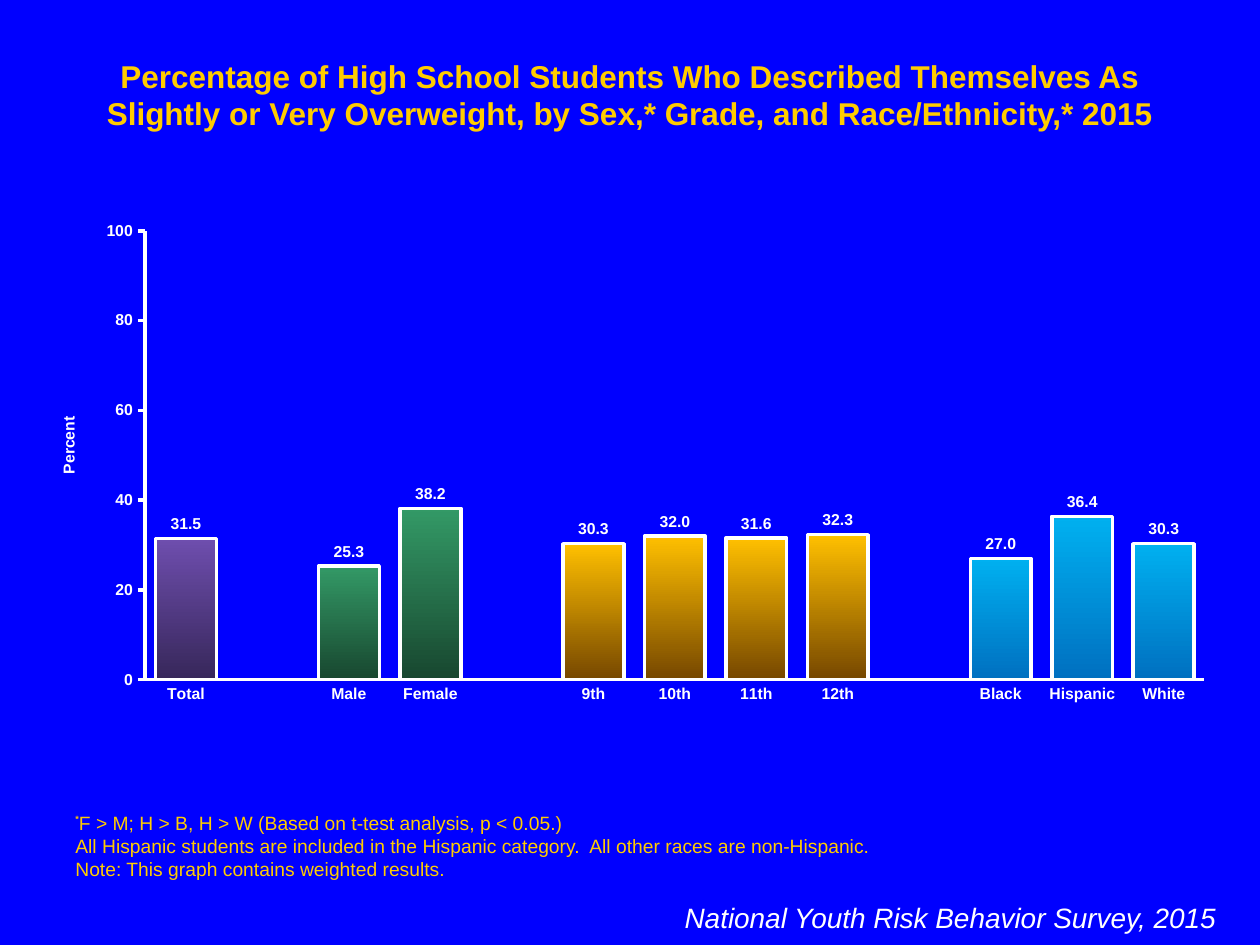
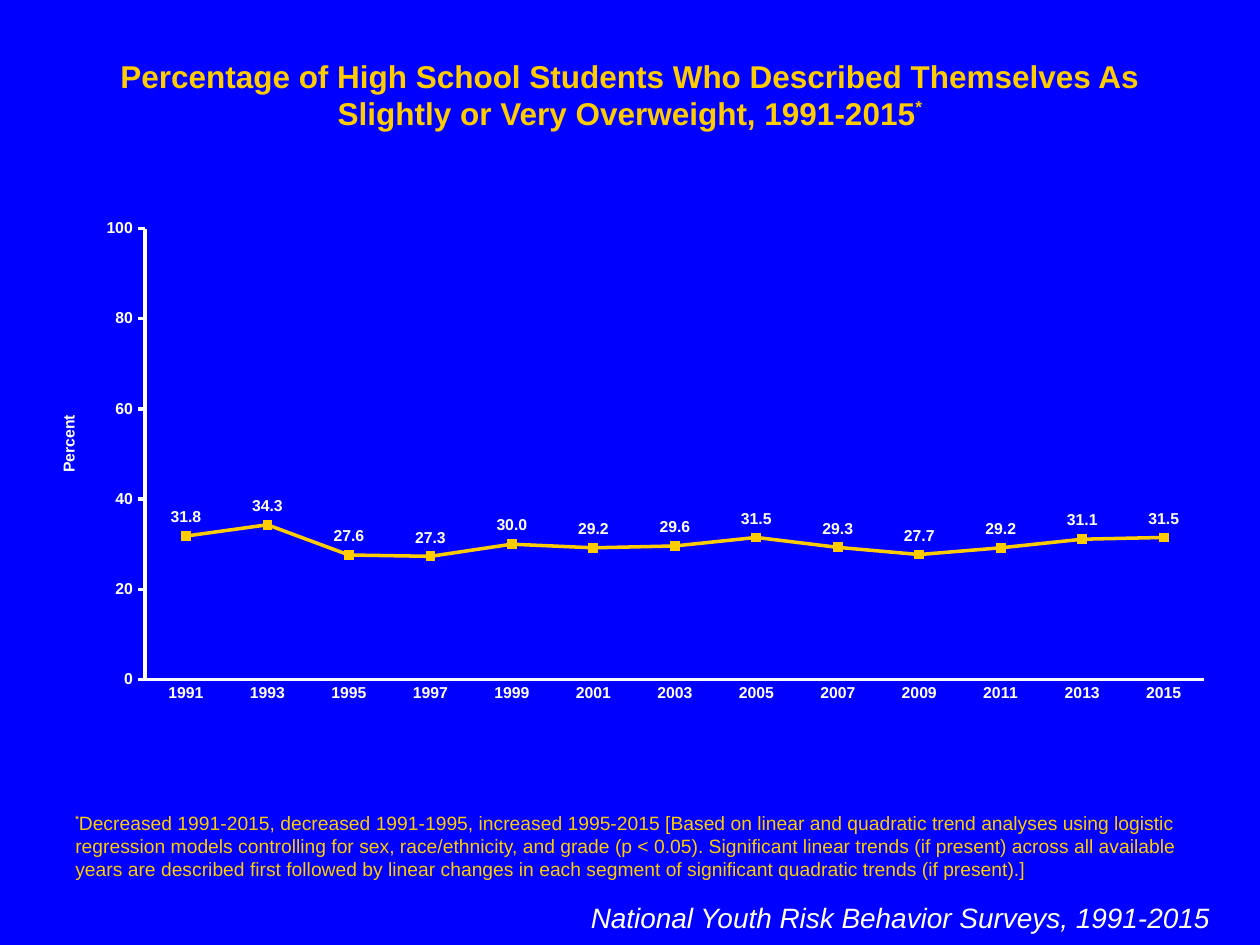
from dataclasses import dataclass

from pptx import Presentation
from pptx.chart.data import CategoryChartData
from pptx.dml.color import RGBColor
from pptx.enum.chart import XL_CHART_TYPE as Kind, XL_LABEL_POSITION as Spot
from pptx.enum.chart import XL_MARKER_STYLE as Mark, XL_TICK_MARK as Tick
from pptx.enum.text import MSO_ANCHOR as Anchor, PP_ALIGN as Align
from pptx.oxml import parse_xml
from pptx.oxml.ns import nsdecls, qn
from pptx.util import Inches, Pt

# Content
BARS = {
    "title": [("Percentage of High School Students Who Described Themselves As "
               "Slightly or Very Overweight, by Sex,* Grade, and Race/Ethnicity,* 2015", 0)],
    "notes": ["F > M; H > B, H > W (Based on t-test analysis, p < 0.05.)",
              "All Hispanic students are included in the Hispanic category.  "
              "All other races are non-Hispanic.",
              "Note: This graph contains weighted results."],
    "source": "National Youth Risk Behavior Survey, 2015",
    "right": 9.75,
    "top": 1.69,
}
GROUPS = [  # gradient colours, then bars; an empty slot parts the groups
    (("6E4EAE", "37275A"), [("Total", 31.5)]),
    (("339966", "18472F"), [("Male", 25.3), ("Female", 38.2)]),
    (("FFC000", "764700"), [("9th", 30.3), ("10th", 32.0), ("11th", 31.6), ("12th", 32.3)]),
    (("00B0F0", "0070C0"), [("Black", 27.0), ("Hispanic", 36.4), ("White", 30.3)]),
]
TREND = {
    "title": [("Percentage of High School Students Who Described Themselves As "
               "Slightly or Very Overweight, 1991-2015", 0), ("*", 40)],
    "notes": ["Decreased 1991-2015, decreased 1991-1995, increased 1995-2015 [Based on "
              "linear and quadratic trend analyses using logistic regression models "
              "controlling for sex, race/ethnicity, and grade (p < 0.05). Significant "
              "linear trends (if present) across all available years are described first "
              "followed by linear changes in each segment of significant quadratic trends "
              "(if present).]"],
    "source": "National Youth Risk Behavior Surveys, 1991-2015",
    "right": 9.7,
    "top": 1.67,
}
RATES = [31.8, 34.3, 27.6, 27.3, 30.0, 29.2, 29.6, 31.5, 29.3, 27.7, 29.2, 31.1, 31.5]
YEARS = [str(1991 + 2 * i) for i in range(len(RATES))]


@dataclass(frozen=True)
class Theme:
    back: str = "0000FF"
    gold: str = "FFCC00"
    white: str = "FFFFFF"
    font: str = "Arial"
    title: int = 18
    raised: int = 17
    source: int = 16
    note: int = 11
    star: int = 9
    chart: int = 9
    line: int = 2


T = Theme()
BOTTOM = 5.67  # lower edge of both charts


def rgb(code):
    return RGBColor.from_string(code)


def style(font, size, color, bold=False, italic=False):
    font.name, font.size = T.font, Pt(size)
    font.bold, font.italic = bold, italic
    font.color.rgb = rgb(color)


# Text
def add_box(slide, left, top, width, height, anchor=Anchor.TOP):
    box = slide.shapes.add_textbox(*map(Inches, (left, top, width, height)))
    frame = box.text_frame
    frame.word_wrap = True
    frame.vertical_anchor = anchor
    return frame


def add_run(para, text, size, color, base=0, **look):
    run = para.add_run()
    run.text = text
    style(run.font, size, color, **look)
    if base:
        run.font._element.set("baseline", str(base * 1000))


def add_page(deck, page):
    slide = deck.slides.add_slide(deck.slide_layouts[6])
    slide.background.fill.solid()
    slide.background.fill.fore_color.rgb = rgb(T.back)

    # Title
    para = add_box(slide, 0.5, 0.4, 9, 0.7).paragraphs[0]
    para.alignment = Align.CENTER
    for text, base in page["title"]:
        add_run(para, text, T.raised if base else T.title, T.gold, base, bold=True)

    # Footnotes, the first one with a raised star
    frame = add_box(slide, 0.5, 6.34, 9, 0.7, Anchor.BOTTOM)
    for i, note in enumerate(page["notes"]):
        para = frame.add_paragraph() if i else frame.paragraphs[0]
        if i == 0:
            add_run(para, "*", T.star, T.gold, 50, bold=True)
        add_run(para, note, T.note, T.gold)

    # Survey name
    para = add_box(slide, page["right"] - 5.5, 7.1, 5.5, 0.37).paragraphs[0]
    para.alignment = Align.RIGHT
    add_run(para, page["source"], T.source, T.white, italic=True)
    return slide


# Charts
def place(parent, after, **spots):
    """Give a chart part a fixed place, in fractions of the chart."""
    for old in parent.findall(qn("c:layout")):
        parent.remove(old)
    inner = '<c:layoutTarget val="inner"/>' if "w" in spots else ""
    modes = '<c:xMode val="edge"/><c:yMode val="edge"/>'
    sizes = "".join(f'<c:{k} val="{v}"/>' for k, v in spots.items())
    parent.insert(after, parse_xml(
        f'<c:layout {nsdecls("c")}><c:manualLayout>{inner}{modes}{sizes}'
        '</c:manualLayout></c:layout>'))


def no_fill():
    return parse_xml(f'<c:spPr {nsdecls("c", "a")}><a:noFill/><a:ln><a:noFill/></a:ln></c:spPr>')


def draw_axis(axis, tick):
    axis.has_major_gridlines = False
    axis.major_tick_mark, axis.minor_tick_mark = tick, Tick.NONE
    axis.format.line.color.rgb = rgb(T.white)
    axis.format.line.width = Pt(T.line)
    style(axis.tick_labels.font, T.chart, T.white, bold=True)


def add_graph(slide, kind, top, names, values, spot):
    data = CategoryChartData()
    data.categories = names
    data.add_series("Series 1", values)
    chart = slide.shapes.add_chart(
        kind, *map(Inches, (0.25, top, 9.5, BOTTOM - top)), data).chart
    chart.has_legend = chart.has_title = False
    style(chart.font, T.title, T.white)

    # Axes
    draw_axis(chart.category_axis, Tick.NONE)
    axis = chart.value_axis
    draw_axis(axis, Tick.OUTSIDE)
    axis.minimum_scale, axis.maximum_scale, axis.major_unit = 0, 100, 20
    axis.tick_labels.number_format = "#,##0"
    axis.tick_labels.number_format_is_linked = False
    if axis._element.find(qn("c:crossBetween")) is None:
        axis._element.find(qn("c:crosses")).addnext(
            parse_xml(f'<c:crossBetween {nsdecls("c")} val="between"/>'))
    frame = axis.axis_title.text_frame
    frame.text = "Percent"
    style(frame.paragraphs[0].runs[0].font, T.chart, T.white, bold=True)
    frame._txBody.find(qn("a:bodyPr")).set("rot", "-5400000")
    place(axis.axis_title._element, 1, x=0.02, y=0.4)

    # Clear plot in a fixed place
    area = chart._chartSpace.find(qn("c:chart")).find(qn("c:plotArea"))
    place(area, 0, x=0.095, y=0.036, w=0.885, h=0.895)
    area.append(no_fill())
    chart._chartSpace.find(qn("c:chart")).addnext(no_fill())

    # Value labels
    plot = chart.plots[0]
    plot.vary_by_categories = False
    plot.has_data_labels = True
    labels = plot.data_labels
    labels.show_value, labels.position = True, spot
    labels.number_format, labels.number_format_is_linked = "#,##0.0", False
    style(labels.font, T.chart, T.white, bold=True)
    return plot


def add_bars(slide, top):
    slots = []
    for shades, bars in GROUPS:
        if slots:
            slots.append(("", None, None))
        slots += [(name, value, shades) for name, value in bars]
    names, values, fills = zip(*slots)
    plot = add_graph(slide, Kind.COLUMN_CLUSTERED, top, names, values, Spot.OUTSIDE_END)
    plot.gap_width, plot.overlap = 34, 100
    for i, shades in enumerate(fills):
        if not shades:
            continue
        look = plot.series[0].points[i].format
        look.fill.gradient()
        look.fill.gradient_angle = 270
        for stop, shade in zip(look.fill.gradient_stops, shades):
            stop.color.rgb = rgb(shade)
        look.line.color.rgb = rgb(T.white)
        look.line.width = Pt(T.line)


def add_trend(slide, top):
    plot = add_graph(slide, Kind.LINE_MARKERS, top, YEARS, RATES, Spot.ABOVE)
    line = plot.series[0]
    line.smooth = False
    line.format.line.color.rgb = rgb(T.gold)
    line.format.line.width = Pt(T.line)
    line.marker.style, line.marker.size = Mark.SQUARE, 5
    line.marker.format.fill.solid()
    line.marker.format.fill.fore_color.rgb = rgb(T.gold)
    line.marker.format.line.color.rgb = rgb(T.gold)


def main():
    deck = Presentation()
    deck.slide_width, deck.slide_height = Inches(10), Inches(7.5)
    for page, draw in ((BARS, add_bars), (TREND, add_trend)):
        draw(add_page(deck, page), page["top"])
    deck.save("out.pptx")


if __name__ == "__main__":
    main()
